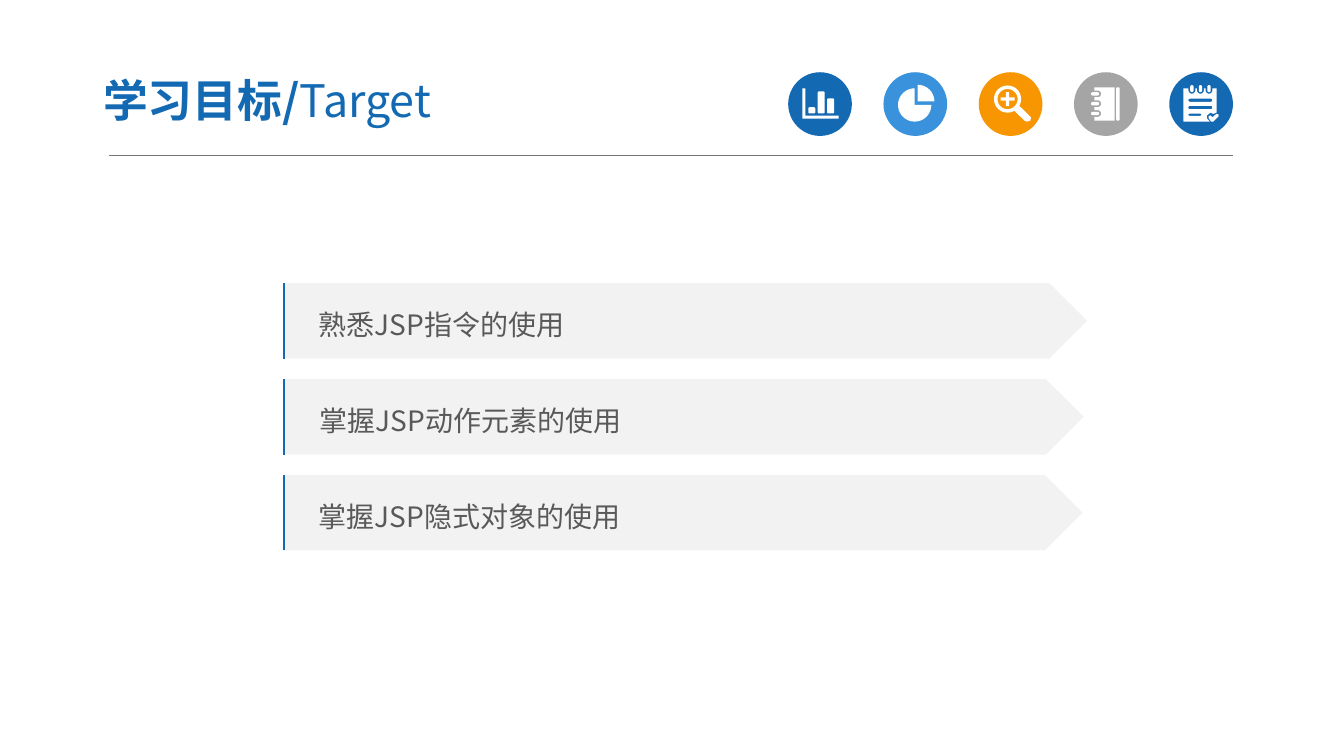
"""Builds the learning-target slide with its icon row and three goal banners."""
import math

import pptx
import pptx.dml.color
import pptx.enum.shapes
import pptx.enum.text
import pptx.oxml
import pptx.oxml.ns
import pptx.util

Pt = pptx.util.Pt
SHAPE = pptx.enum.shapes.MSO_SHAPE
FONT = "Noto Sans CJK SC"
BLUE, SKY, ORANGE, GREY, WHITE = "1369B2", "3992DB", "F79600", "A5A5A5", "FFFFFF"
ICON_LEFT, ICON_TOP, ICON_STEP, ICON_SIZE = 563, 51.6, 68.05, 45.5
UNITS = 100


def rgb(colour):
    """Turn a hex string into a colour."""
    return pptx.dml.color.RGBColor.from_string(colour)


def format_run(run, size, colour, bold=False):
    """Set the font of a run for Latin and East Asian letters."""
    run.font.size = Pt(size)
    run.font.name = FONT
    run.font.bold = bold
    run.font.color.rgb = rgb(colour)
    east_asian = pptx.oxml.parse_xml(
        f'<a:ea {pptx.oxml.ns.nsdecls("a")} typeface="{FONT}"/>')
    run.font._element.find(pptx.oxml.ns.qn("a:latin")).addnext(east_asian)


def paint(shape, colour):
    """Give a shape a plain fill without line or shadow."""
    shape.shadow.inherit = False
    shape.fill.solid()
    shape.fill.fore_color.rgb = rgb(colour)
    shape.line.fill.background()


def add_filled(shapes, preset, box, colour):
    """Add a plain preset shape."""
    shape = shapes.add_shape(preset, *(Pt(length) for length in box))
    paint(shape, colour)
    return shape


def add_header_rule(slide):
    """Add the thin line below the title."""
    rule = slide.shapes.add_connector(pptx.enum.shapes.MSO_CONNECTOR.STRAIGHT,
                                      Pt(77.8), Pt(111.2), Pt(880.6), Pt(111.2))
    rule.line.color.rgb = rgb("767676")
    rule.line.width = Pt(0.5)
    rule._element.spPr.append(
        pptx.oxml.parse_xml(f'<a:effectLst {pptx.oxml.ns.nsdecls("a")}/>'))


def arc(x, y, radius, start, end, steps=12):
    """Return points along an arc, with angles in clockwise degrees."""
    angles = [math.radians(start + (end - start) * i / steps) for i in range(steps + 1)]
    return [(x + radius * math.cos(a), y + radius * math.sin(a)) for a in angles]


def rounded(x, y, width, height, radius):
    """Return the outline of a rounded rectangle."""
    left, right = x + radius, x + width - radius
    top, bottom = y + radius, y + height - radius
    corners = [(left, top), (right, top), (right, bottom), (left, bottom)]
    return [point for turn, corner in enumerate(corners)
            for point in arc(*corner, radius, 180 + 90 * turn, 270 + 90 * turn, 4)]


def bar_chart():
    """Return the outlines of the axes and bars."""
    axes = [(10.1, 11.5), (12.3, 11.5), (12.3, 31), (36, 31), (36, 33.2), (10.1, 33.2)]
    bars = [(14.4, 25, 5, 4.5), (21.1, 13.7, 5, 15.8), (27.8, 18.7, 5, 10.8)]
    return [axes] + [rounded(*bar, 1) for bar in bars]


def pie():
    """Return the outlines of the two sectors."""
    return [[(22.3, 23.4)] + arc(22.3, 23.4, 11.9, 0, 270, 30),
            [(24.5, 20.9)] + arc(24.5, 20.9, 11.9, 270, 360)]


def magnifier():
    """Return the outlines of the lens with its handle and the plus sign."""
    x, y, reach, half = 20.6, 19.2, 5, 1.2
    body = arc(x, y, 9.7, 60, 390, 36) + [(37.3, 32.2), (37, 34.5), (34.7, 35.3),
                                          (32.8, 34.7)]
    plus = [(-half, -reach), (half, -reach), (half, -half), (reach, -half),
            (reach, half), (half, half), (half, reach), (-half, reach),
            (-half, half), (-reach, half), (-reach, -half), (-half, -half)]
    return [body, arc(x, y, 7.2, 0, 360, 36), [(x + dx, y + dy) for dx, dy in plus]]


def notebook():
    """Return the outlines of the cover, edge and rings."""
    middles = [15.5 + 7 * ring for ring in range(3)]
    cover = [(14.6, 10.8), (29, 10.8), (29, 34.6), (14.6, 34.6)]
    for middle in reversed(middles):
        cover += [(14.6, middle + 2.4), *arc(17, middle, 2.4, 90, -90),
                  (14.6, middle - 2.4)]
    rings = [rounded(12.2, middle - 1.2, 5.8, 2.4, 1.2) for middle in middles]
    return [cover, rounded(30.2, 10.8, 2.4, 23.8, 0.8)] + rings


def notepad():
    """Return the outlines of the page, rings, lines and tick."""
    middles = [16.2 + 6.1 * ring for ring in range(3)]
    page = [(10.1, 11.5)]
    for middle in middles:
        page += [(middle - 2.5, 11.5), *arc(middle, 12.8, 2.5, 180, 0),
                 (middle + 2.5, 11.5)]
    page += [(33.9, 11.5), (33.9, 28.7), (31.5, 29.8), (29.5, 28.8), (26.8, 31),
             (27, 33), (29, 35.3), (10.1, 35.3)]
    rings = [rounded(middle - 1.2, 9.2, 2.4, 5, 1.2) for middle in middles]
    lines = [rounded(13.7, 18.9, 17, 2.2, 1), rounded(13.7, 24, 17, 2.4, 1),
             rounded(13.7, 29.6, 9.2, 1.5, 0.7)]
    tick = [(28.1, 31.5), (29.5, 30.8), (31, 32.2), (33.6, 29.7), (35.2, 30.2),
            (35.2, 31.6), (31.6, 35.2), (30, 35.3), (28.1, 32.8)]
    return [page, tick] + rings + lines


def add_icon(slide, position, colour, outlines):
    """Add a round icon with a white symbol drawn from its outlines."""
    left = ICON_LEFT + position * ICON_STEP
    icon = slide.shapes.add_group_shape().shapes
    add_filled(icon, SHAPE.OVAL, (left, ICON_TOP, ICON_SIZE, ICON_SIZE), colour)
    scaled = [[(x * UNITS, y * UNITS) for x, y in outline] for outline in outlines]
    builder = icon.build_freeform(*scaled[0][0], scale=Pt(1) / UNITS)
    for index, outline in enumerate(scaled):
        if index:
            builder.move_to(*outline[0])
        builder.add_line_segments(outline[1:], close=True)
    paint(builder.convert_to_shape(Pt(left), Pt(ICON_TOP)), WHITE)


def add_title(slide):
    """Fill and place the title."""
    title = slide.shapes.title
    title.left, title.top, title.width, title.height = Pt(64), Pt(45.4), Pt(376), Pt(52)
    frame = title.text_frame
    frame.margin_left = frame.margin_right = Pt(9.6)
    frame.margin_top = frame.margin_bottom = Pt(4.8)
    frame.vertical_anchor = pptx.enum.text.MSO_ANCHOR.MIDDLE
    frame.auto_size = pptx.enum.text.MSO_AUTO_SIZE.NONE
    paragraph = frame.paragraphs[0]
    paragraph.alignment = pptx.enum.text.PP_ALIGN.LEFT
    for text, bold in (("学习目标/", True), ("Target", False)):
        run = paragraph.add_run()
        run.text = text
        format_run(run, 32, BLUE, bold)


def add_goal(slide, text, left, top, width):
    """Add a goal banner with a blue edge."""
    height = 54
    goal = slide.shapes.add_group_shape().shapes
    banner = add_filled(goal, SHAPE.PENTAGON, (left, top, width, height), "F2F2F2")
    frame = banner.text_frame
    frame.text = text
    frame.margin_left = Pt(25.2)
    frame.vertical_anchor = pptx.enum.text.MSO_ANCHOR.MIDDLE
    paragraph = frame.paragraphs[0]
    paragraph.alignment = pptx.enum.text.PP_ALIGN.LEFT
    paragraph.line_spacing = 1.2
    format_run(paragraph.runs[0], 20, "595959")
    builder = goal.build_freeform(0, height * UNITS, scale=Pt(1) / UNITS)
    builder.add_line_segments([(0, 0)], close=False)
    builder.move_to(8.6 * UNITS, 0)
    edge = builder.convert_to_shape(Pt(203), Pt(top))
    edge.shadow.inherit = False
    edge.fill.background()
    edge.line.color.rgb = rgb(BLUE)
    edge.line.width = Pt(1.5)


def main():
    """Build and save the slide."""
    deck = pptx.Presentation()
    deck.slide_width, deck.slide_height = Pt(960), Pt(540)
    slide = deck.slides.add_slide(deck.slide_layouts[5])
    add_header_rule(slide)
    icons = [(BLUE, bar_chart()), (SKY, pie()), (ORANGE, magnifier()),
             (GREY, notebook()), (BLUE, notepad())]
    for position, (colour, outlines) in enumerate(icons):
        add_icon(slide, position, colour, outlines)
    add_title(slide)
    goals = [("熟悉JSP指令的使用", 202.3, 574.2), ("掌握JSP动作元素的使用", 203, 571),
             ("掌握JSP隐式对象的使用", 202.3, 571)]
    for row, (text, left, width) in enumerate(goals):
        add_goal(slide, text, left, 202.2 + 68.5 * row, width)
    deck.save("out.pptx")


if __name__ == "__main__":
    main()
